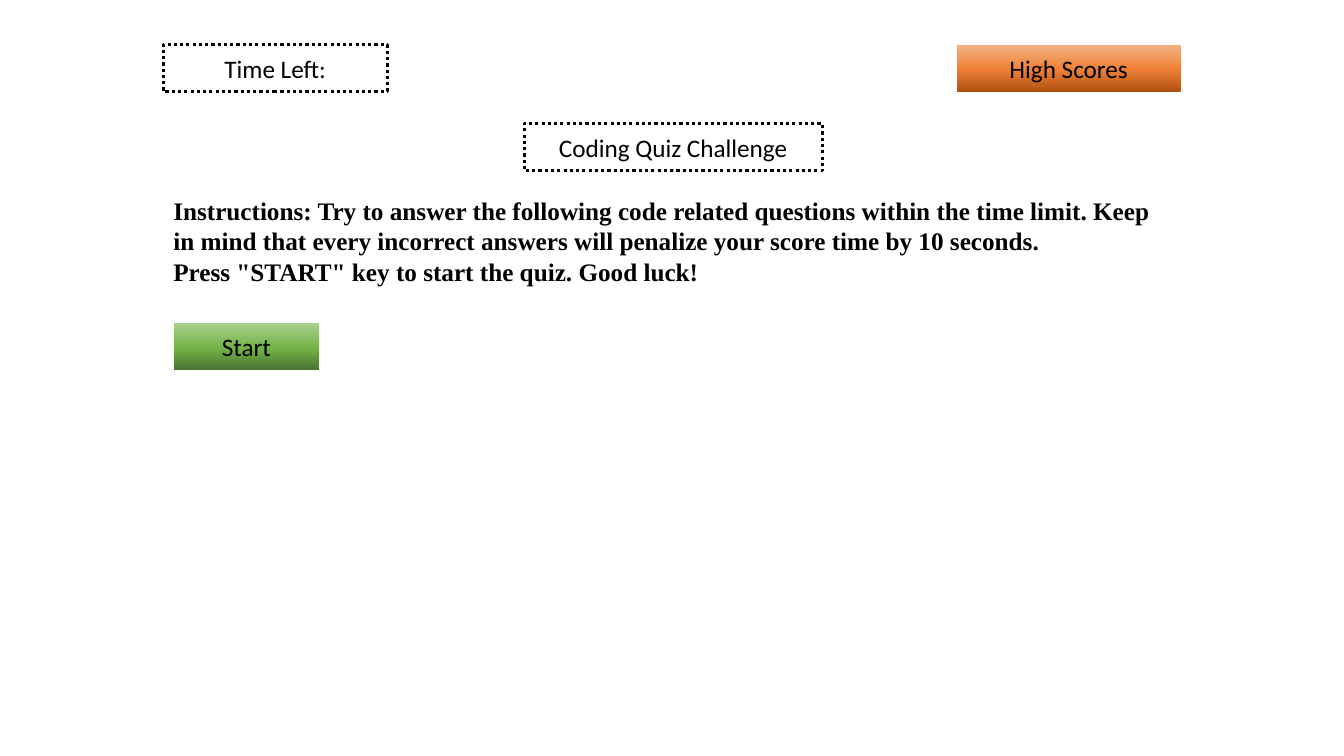
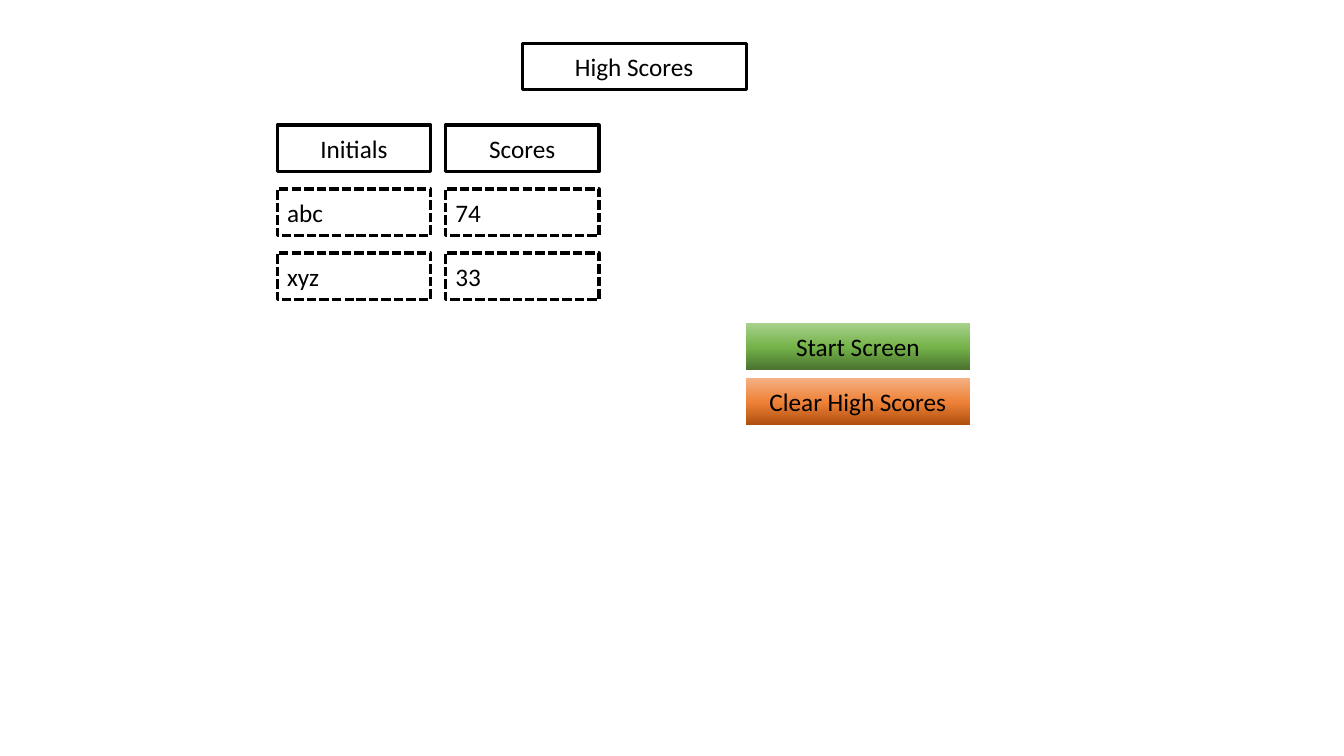
from dataclasses import dataclass
from typing import Optional
import copy

import pptx
import pptx.dml.color
import pptx.enum.dml
import pptx.enum.shapes
import pptx.enum.text
import pptx.oxml.ns
import pptx.presentation
import pptx.shapes.autoshape
import pptx.slide
import pptx.util

Pt = pptx.util.Pt
Align = pptx.enum.text.PP_ALIGN
Dash = pptx.enum.dml.MSO_LINE
Gradient = tuple[tuple[float, str], ...]


@dataclass(frozen=True)
class Theme:
    ink: str = "000000"
    label_font: str = "Calibri"
    body_font: str = "Times New Roman"
    text_size: float = 18
    border_width: float = 2.25
    box_height: float = 33.4
    wide: float = 160
    green: Gradient = ((0, "4B7430"), (0.48, "74B349"), (1, "A9D18E"))
    orange: Gradient = ((0, "B0500F"), (0.48, "EE8137"), (1, "F4B183"))


THEME = Theme()


@dataclass(frozen=True)
class Box:
    """A labelled rectangle: a gradient makes it a button, otherwise it has a border."""
    text: str
    left: float
    top: float
    width: float = THEME.wide
    dash: Dash = Dash.SOLID
    gradient: Optional[Gradient] = None
    align: Align = Align.CENTER


def place(shape: pptx.shapes.autoshape.Shape, left: float, top: float,
          width: float, height: float) -> None:
    shape.left, shape.top, shape.width, shape.height = map(Pt, (left, top, width, height))


def write_text(shape: pptx.shapes.autoshape.Shape, text: str, font_name: str,
               align: Align, bold: bool = False) -> None:
    text_frame = shape.text_frame
    text_frame.text = text
    text_frame.word_wrap = True
    for paragraph in text_frame.paragraphs:
        paragraph.alignment = align
        paragraph.space_before = Pt(0)
        for run in paragraph.runs:
            run.font.name = font_name
            run.font.size = Pt(THEME.text_size)
            run.font.bold = bold
            run.font.color.rgb = pptx.dml.color.RGBColor.from_string(THEME.ink)


def fill_gradient(shape: pptx.shapes.autoshape.Shape, gradient: Gradient) -> None:
    """Fill from the bottom up, adding the stops that the default gradient lacks."""
    shape.fill.gradient()
    shape.fill.gradient_angle = 90
    stop_list = next(shape.element.iter(pptx.oxml.ns.qn("a:gsLst")))
    while len(stop_list) < len(gradient):
        stop_list.append(copy.deepcopy(stop_list[0]))
    for stop, (position, color) in zip(shape.fill.gradient_stops, gradient):
        stop.position = position
        stop.color.rgb = pptx.dml.color.RGBColor.from_string(color)


def style_box(shape: pptx.shapes.autoshape.Shape, box: Box) -> None:
    place(shape, box.left, box.top, box.width, THEME.box_height)
    if box.gradient:
        fill_gradient(shape, box.gradient)
        shape.line.fill.background()
    else:
        shape.fill.background()
        shape.line.color.rgb = pptx.dml.color.RGBColor.from_string(THEME.ink)
        shape.line.width = Pt(THEME.border_width)
        shape.line.dash_style = box.dash
    shape.shadow.inherit = False
    write_text(shape, box.text, THEME.label_font, box.align)
    shape.text_frame.vertical_anchor = pptx.enum.text.MSO_ANCHOR.MIDDLE
    shape.text_frame.auto_size = pptx.enum.text.MSO_AUTO_SIZE.NONE


def add_box(slide: pptx.slide.Slide, box: Box) -> None:
    rectangle = pptx.enum.shapes.MSO_SHAPE.RECTANGLE
    style_box(slide.shapes.add_shape(rectangle, 0, 0, 0, 0), box)


def write_instructions(body: pptx.shapes.autoshape.Shape, text: str) -> None:
    place(body, 116.6, 136, 728, 72.7)
    write_text(body, text, THEME.body_font, Align.LEFT, bold=True)
    body.text_frame.auto_size = pptx.enum.text.MSO_AUTO_SIZE.SHAPE_TO_FIT_TEXT
    for paragraph in body.text_frame.paragraphs:
        properties = paragraph._p.get_or_add_pPr()
        properties.set("marL", "0")
        properties.set("indent", "0")
        properties.append(pptx.oxml.parse_xml(
            f'<a:buNone {pptx.oxml.ns.nsdecls("a")}/>'))


def build_start_slide(presentation: pptx.presentation.Presentation) -> None:
    slide = presentation.slides.add_slide(
        presentation.slide_layouts.get_by_name("Title and Content"))
    style_box(slide.shapes.title,
              Box("Coding Quiz Challenge", 374.4, 88.4, 213, Dash.ROUND_DOT))
    write_instructions(
        slide.placeholders[1],
        "Instructions: Try to answer the following code related questions within the "
        "time limit. Keep in mind that every incorrect answers will penalize your "
        "score time by 10 seconds.\n"
        'Press "START" key to start the quiz. Good luck!')
    for box in (Box("Time Left:", 116.6, 32, dash=Dash.ROUND_DOT),
                Box("Start", 124, 231, 104, gradient=THEME.green),
                Box("High Scores", 683.4, 32.2, gradient=THEME.orange)):
        add_box(slide, box)


def build_scores_slide(presentation: pptx.presentation.Presentation) -> None:
    slide = presentation.slides.add_slide(
        presentation.slide_layouts.get_by_name("Title Only"))
    style_box(slide.shapes.title, Box("High Scores", 373, 30.8))

    grid_left, grid_top, column_step, row_step = 198, 89.3, 120.2, 45.7
    rows = (("Initials", "Scores"), ("abc", "74"), ("xyz", "33"))
    for row_index, row in enumerate(rows):
        is_header = row_index == 0
        for column_index, text in enumerate(row):
            add_box(slide, Box(
                text,
                grid_left + column_index * column_step,
                grid_top + row_index * row_step,
                width=109.7,
                dash=Dash.SOLID if is_header else Dash.SQUARE_DOT,
                align=Align.CENTER if is_header else Align.LEFT))

    buttons = (("Start Screen", THEME.green), ("Clear High Scores", THEME.orange))
    for index, (text, gradient) in enumerate(buttons):
        add_box(slide, Box(text, 532.8, 230.6 + index * 39.4, gradient=gradient))


def main() -> None:
    presentation = pptx.Presentation()
    presentation.slide_width, presentation.slide_height = Pt(960), Pt(540)
    build_start_slide(presentation)
    build_scores_slide(presentation)
    presentation.save("out.pptx")


if __name__ == "__main__":
    main()
